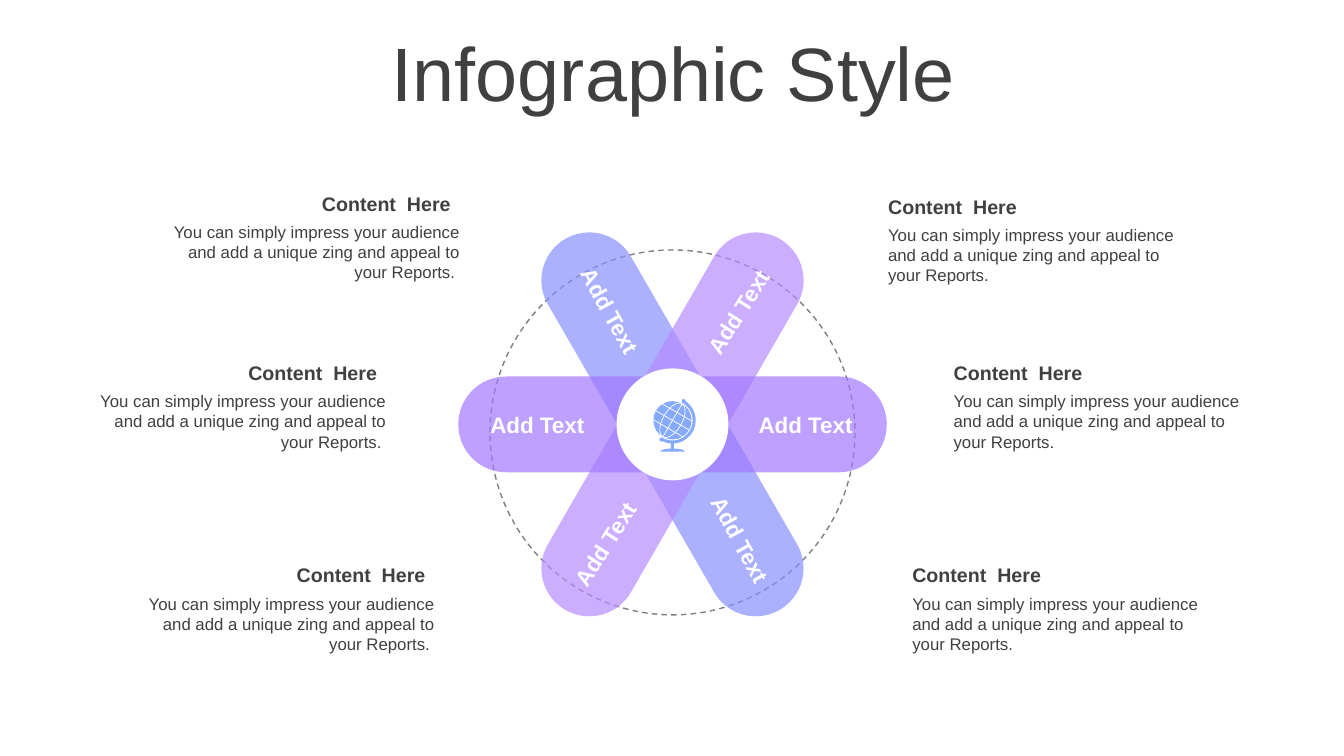
import math
from dataclasses import dataclass

import pptx
import pptx.dml.color
import pptx.enum.dml
import pptx.enum.shapes
import pptx.enum.text
import pptx.oxml
import pptx.oxml.ns
import pptx.util
from pptx.util import Inches

ALIGN = pptx.enum.text.PP_ALIGN
SHAPE = pptx.enum.shapes.MSO_SHAPE


@dataclass(frozen=True)
class Theme:
    font: str = "Arial"
    text: str = "404040"
    white: str = "FFFFFF"
    ring: str = "808080"
    globe: str = "86AAFF"
    petals: tuple = ("888FFF", "B58CFF", "A178FF")
    title_size: int = 54
    label_size: int = 16
    heading_size: int = 14
    body_size: int = 12


def rgb(color):
    return pptx.dml.color.RGBColor.from_string(color)


class SlideBuilder:
    def __init__(self, slide, theme):
        self.slide = slide
        self.theme = theme

    def paint(self, shape, fill=None, line=None, width=1, opacity=100):
        shape.shadow.inherit = False
        if fill:
            shape.fill.solid()
            shape.fill.fore_color.rgb = rgb(fill)
            if opacity < 100:
                color = shape.fill._xPr.find(".//" + pptx.oxml.ns.qn("a:srgbClr"))
                alpha = pptx.oxml.parse_xml(
                    f'<a:alpha {pptx.oxml.ns.nsdecls("a")} val="{opacity * 1000}"/>')
                color.append(alpha)
        else:
            shape.fill.background()
        if line:
            shape.line.color.rgb = rgb(line)
            shape.line.width = pptx.util.Pt(width)
        else:
            shape.line.fill.background()
        return shape

    def centered(self, kind, center, size, rotation=0, **style):
        """Add a preset shape placed by its centre, in inches."""
        (x, y), (width, height) = center, size
        shape = self.slide.shapes.add_shape(
            kind, Inches(x - width / 2), Inches(y - height / 2),
            Inches(width), Inches(height))
        shape.rotation = rotation
        return self.paint(shape, **style)

    def polygon(self, points, fill):
        corners = [(Inches(x), Inches(y)) for x, y in points]
        builder = self.slide.shapes.build_freeform(*corners[0])
        builder.add_line_segments(corners[1:], close=True)
        return self.paint(builder.convert_to_shape(), fill=fill)

    def line(self, start, end, color, width):
        connector = self.slide.shapes.add_connector(
            pptx.enum.shapes.MSO_CONNECTOR.STRAIGHT,
            *(Inches(value) for value in (*start, *end)))
        connector.line.color.rgb = rgb(color)
        connector.line.width = pptx.util.Pt(width)
        connector._element.spPr.append(pptx.oxml.parse_xml(
            f'<a:effectLst {pptx.oxml.ns.nsdecls("a")}/>'))

    def text(self, text, box, size, color=None, bold=False, align=ALIGN.LEFT,
             rotation=0, anchor=pptx.enum.text.MSO_ANCHOR.TOP, spacing=1.0,
             parent=None):
        """Add a wrapped text box, on the slide or inside a parent group."""
        shapes = (parent or self.slide).shapes
        shape = shapes.add_textbox(*(Inches(value) for value in box))
        shape.rotation = rotation
        frame = shape.text_frame
        frame.word_wrap = True
        frame.vertical_anchor = anchor
        paragraph = frame.paragraphs[0]
        paragraph.alignment = align
        paragraph.line_spacing = spacing
        run = paragraph.add_run()
        run.text = text
        run.font.name = self.theme.font
        run.font.size = pptx.util.Pt(size)
        run.font.bold = bold
        run.font.color.rgb = rgb(color or self.theme.text)

    def callout(self, left, top, align):
        """Add a grouped heading and body; right-aligned headings sit further in."""
        group = self.slide.shapes.add_group_shape()
        on_left = align == ALIGN.RIGHT
        heading_width, body_width = (2.96, 3.05) if on_left else (3.09, 3.09)
        body = ("You can simply impress your audience and add a unique zing "
                "and appeal to your Reports.") + (" " if on_left else "")
        self.text("Content  Here", (left, top, heading_width, 0.34),
                  self.theme.heading_size, bold=True, align=align, parent=group)
        self.text(body, (left, top + 0.3, body_width, 0.71),
                  self.theme.body_size, align=align, parent=group)

    def globe(self, center, radius=0.19):
        """Draw a tilted globe on a stand."""
        x, y = center
        color, white, tilt = self.theme.globe, self.theme.white, 30
        self.centered(SHAPE.OVAL, center, (2 * radius, 2 * radius), fill=color)
        self.centered(SHAPE.OVAL, center, (radius, 2 * radius), tilt,
                      line=white, width=0.5)
        across = (math.cos(math.radians(tilt)), math.sin(math.radians(tilt)))
        axis = (across[1], -across[0])
        chords = [(across, axis, offset) for offset in (-0.09, 0, 0.09)]
        for along, normal, offset in [*chords, (axis, across, 0)]:
            half = math.sqrt(radius ** 2 - offset ** 2)
            start, end = [
                (x + normal[0] * offset + along[0] * reach,
                 y + normal[1] * offset + along[1] * reach)
                for reach in (-half, half)]
            self.line(start, end, white, 0.5)

        def arc(arc_radius, angles):
            return [(x + arc_radius * math.cos(math.radians(angle)),
                     y + arc_radius * math.sin(math.radians(angle)))
                    for angle in angles]

        sweep = range(-60, 121, 5)
        self.polygon(arc(0.23, sweep) + arc(0.2, reversed(sweep)), color)
        for knob in arc(0.22, (-60, 120)):
            self.centered(SHAPE.OVAL, knob, (0.04, 0.04), fill=color)
        self.centered(SHAPE.RECTANGLE, (x, 4.42), (0.03, 0.08), fill=color)
        self.polygon([(x + 0.12 * math.cos(math.radians(angle)),
                       4.48 - 0.03 * math.sin(math.radians(angle)))
                      for angle in range(0, 181, 10)], color)


def main():
    presentation = pptx.Presentation()
    presentation.slide_width = Inches(13.33)
    presentation.slide_height = Inches(7.5)
    theme = Theme()
    slide = presentation.slides.add_slide(presentation.slide_layouts[6])
    builder = SlideBuilder(slide, theme)
    builder.text("Infographic Style", (0.35, 0.37, 12.66, 0.79), theme.title_size,
                 align=ALIGN.CENTER, spacing=0.9,
                 anchor=pptx.enum.text.MSO_ANCHOR.MIDDLE)

    hub = (6.67, 4.21)
    ring = builder.centered(SHAPE.OVAL, (6.67, 4.29), (3.62, 3.62), line=theme.ring)
    ring.line.dash_style = pptx.enum.dml.MSO_LINE.DASH
    for color, rotation in zip(theme.petals, (330, 30, 90)):
        petal = builder.centered(SHAPE.ROUNDED_RECTANGLE, hub, (0.95, 4.25),
                                 rotation, fill=color, opacity=70)
        petal.adjustments[0] = 0.5
    builder.centered(SHAPE.OVAL, hub, (1.11, 1.11), fill=theme.white)
    builder.globe((6.67, 4.17))

    labels = [(5.28, 2.9, 61.2), (6.57, 5.17, 61.2), (6.55, 2.91, 302.3),
              (5.23, 5.21, 302.3), (7.22, 4.03, 0), (4.56, 4.03, 0)]
    for left, top, rotation in labels:
        builder.text("Add Text", (left, top, 1.54, 0.37), theme.label_size,
                     color=theme.white, bold=True, align=ALIGN.CENTER,
                     rotation=rotation)

    callouts = {
        ALIGN.LEFT: [(8.71, 1.88), (9.36, 3.53), (8.95, 5.54)],
        ALIGN.RIGHT: [(1.61, 1.85), (0.88, 3.53), (1.36, 5.54)],
    }
    for align, places in callouts.items():
        for left, top in places:
            builder.callout(left, top, align)
    presentation.save("out.pptx")


if __name__ == "__main__":
    main()
